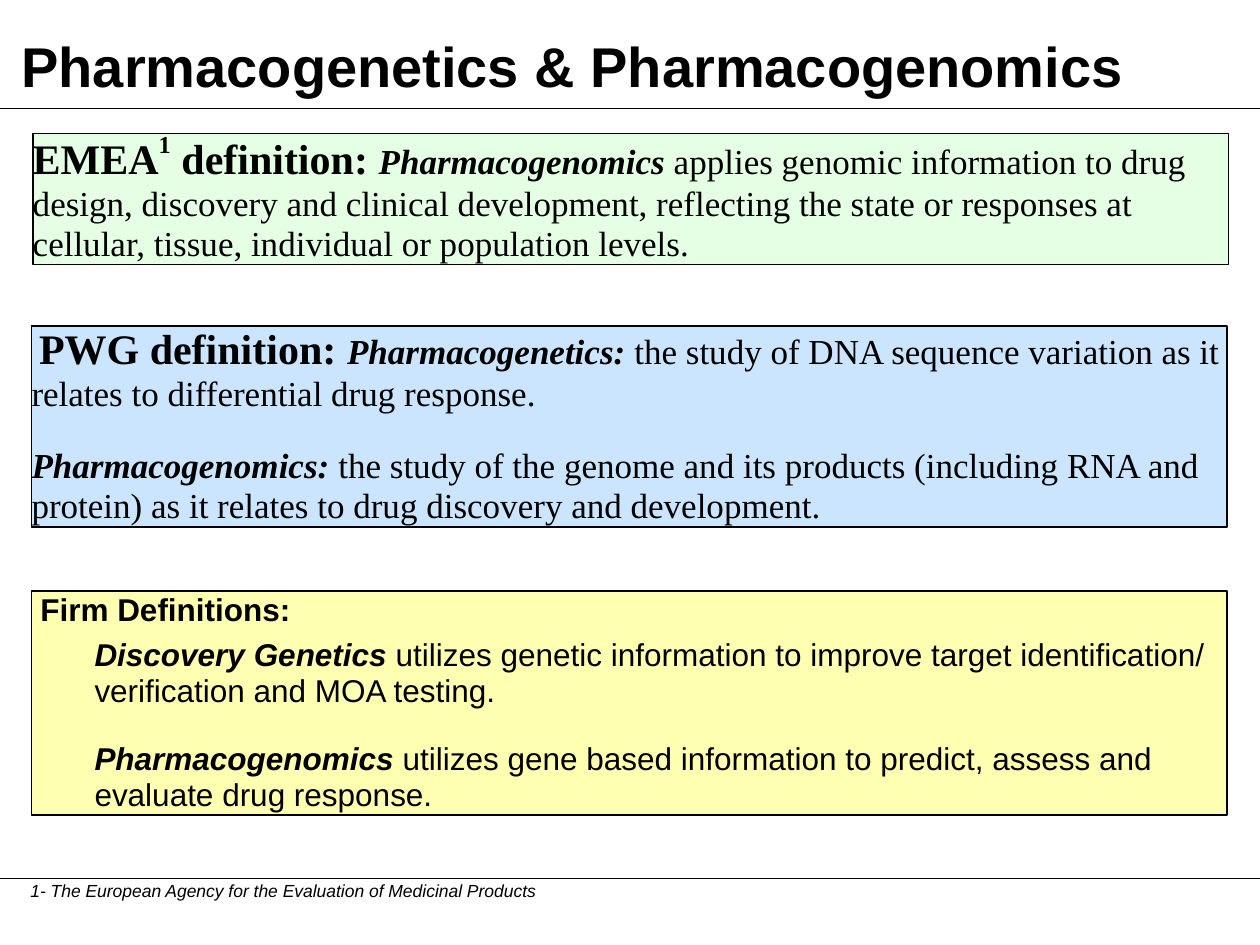
import pptx
import pptx.util
import pptx.dml.color
import pptx.enum.shapes
import pptx.enum.text
import pptx.oxml.ns
from lxml import etree

Inches = pptx.util.Inches
Pt = pptx.util.Pt
ALIGN = pptx.enum.text.PP_ALIGN
ANCHOR = pptx.enum.text.MSO_ANCHOR
FIT = pptx.enum.text.MSO_AUTO_SIZE
qn = pptx.oxml.ns.qn

COLORS = {"ink": "000000", "green": "CCFFCC", "blue": "99CCFF", "yellow": "FFFF66"}
SERIF, SANS = "Times New Roman", "Arial"

# Text formats
TITLE = {"name": SANS, "size": Pt(32), "bold": True}
NOTE = {"name": SANS, "size": Pt(10), "italic": True}
SERIF_HEAD = {"name": SERIF, "size": Pt(24), "bold": True}
SERIF_TERM = {"name": SERIF, "size": Pt(20), "bold": True, "italic": True}
SERIF_BODY = {"name": SERIF, "size": Pt(20)}
SANS_HEAD = {"name": SANS, "size": Pt(18), "bold": True}
SANS_TERM = {"name": SANS, "size": Pt(18), "bold": True, "italic": True}
SANS_BODY = {"name": SANS, "size": Pt(18)}


def color(name):
    return pptx.dml.color.RGBColor.from_string(COLORS[name])


def set_attributes(target, values):
    for name, value in values.items():
        setattr(target, name, value)


def add_span(para, text, style, raised=False):
    span = para.add_run()
    span.text = text
    set_attributes(span.font, style)
    span.font.color.rgb = color("ink")
    if raised:
        span.font._element.set("baseline", "50000")


def fill_text(box, paragraphs, frame_format, bottom=0):
    """Each paragraph is (spans, paragraph format, left margin, first-line indent)."""
    frame = box.text_frame
    set_attributes(frame, {"margin_left": 0, "margin_right": 0, "margin_top": 0,
                           "margin_bottom": Inches(bottom), **frame_format})
    for index, (spans, para_format, margin, indent) in enumerate(paragraphs):
        para = frame.add_paragraph() if index else frame.paragraphs[0]
        properties = para._p.get_or_add_pPr()
        properties.set("marL", str(Inches(margin)))
        properties.set("indent", str(Inches(indent)))
        set_attributes(para, para_format)
        for span in spans:
            add_span(para, *span)


def add_rule(page, left, right, top):
    rule = page.shapes.add_connector(pptx.enum.shapes.MSO_CONNECTOR.STRAIGHT,
                                     Inches(left), Inches(top), Inches(right), Inches(top))
    rule.line.color.rgb = color("ink")
    rule.line.width = Pt(0.75)
    etree.SubElement(rule._element.spPr, qn("a:effectLst"))


def add_title(page, left, top, width, height):
    box = page.shapes.add_textbox(Inches(left), Inches(top), Inches(width), Inches(height))
    spans = [("Pharmacogenetics & Pharmacogenomics", TITLE)]
    fill_text(box, [(spans, {}, 0, 0)],
              {"word_wrap": True, "vertical_anchor": ANCHOR.BOTTOM}, bottom=0.06)


def add_footnote(page, left, top, width, height):
    box = page.shapes.add_textbox(Inches(left), Inches(top), Inches(width), Inches(height))
    spans = [("1- The European Agency for the Evaluation of Medicinal Products", NOTE)]
    fill_text(box, [(spans, {"alignment": ALIGN.CENTER, "line_spacing": 0.95}, 0, 0)],
              {"word_wrap": False, "auto_size": FIT.SHAPE_TO_FIT_TEXT})


def add_definition(page, left, top, width, height, fill, paragraphs):
    """Paragraphs are (spans, space before, left margin, first-line indent)."""
    panel = page.shapes.add_shape(pptx.enum.shapes.MSO_SHAPE.RECTANGLE, Inches(left),
                                  Inches(top), Inches(width), Inches(height))
    panel.shadow.inherit = False
    panel.fill.solid()
    panel.fill.fore_color.rgb = color(fill)
    # Half-transparent fill
    shade = panel._element.spPr.find(qn("a:solidFill")).find(qn("a:srgbClr"))
    etree.SubElement(shade, qn("a:alpha")).set("val", "50000")
    panel.line.color.rgb = color("ink")
    panel.line.width = Pt(1)
    rows = [(spans, {"alignment": ALIGN.LEFT, "line_spacing": 0.95, "space_before": Pt(gap)},
             margin, indent) for spans, gap, margin, indent in paragraphs]
    fill_text(panel, rows, {"word_wrap": True, "vertical_anchor": ANCHOR.MIDDLE,
                            "auto_size": FIT.SHAPE_TO_FIT_TEXT})


EMEA = [
    ([("EMEA", SERIF_HEAD), ("1", SERIF_HEAD, True), (" definition: ", SERIF_HEAD),
      ("Pharmacogenomics", SERIF_TERM),
      (" applies genomic information to drug design, discovery and clinical development, "
       "reflecting the state or responses at cellular, tissue, individual or population "
       "levels.", SERIF_BODY)], 0, 0, 0),
]
PWG = [
    ([("PWG definition: ", SERIF_HEAD), ("Pharmacogenetics: ", SERIF_TERM),
      ("the study of DNA sequence variation as it relates to differential drug response.",
       SERIF_BODY)], 0, 0, 0.06),
    ([("Pharmacogenomics: ", SERIF_TERM),
      ("the study of the genome and its products (including RNA and protein) as it relates "
       "to drug discovery and development.", SERIF_BODY)], 18.7, 0, 0),
]
COMPANY = [
    ([("Firm Definitions:", SANS_HEAD)], 0, 0, 0.07),
    ([("Discovery Genetics", SANS_TERM),
      (" utilizes genetic information to improve target identification/ verification and "
       "MOA testing.", SANS_BODY)], 5.6, 0.5, 0),
    ([("Pharmacogenomics", SANS_TERM),
      (" utilizes gene based information to predict, assess and evaluate drug response.",
       SANS_BODY)], 18.2, 0.5, 0),
]


def main():
    deck = pptx.Presentation()
    deck.slide_width, deck.slide_height = Inches(10), Inches(7.5)
    page = deck.slides.add_slide(deck.slide_layouts[6])

    # Header and footer rules, and the small corner mark
    for left, right, top in ((0, 10, 0.86), (0, 10, 6.97), (9, 9, 7.22)):
        add_rule(page, left, right, top)

    add_title(page, 0.17, 0.17, 9.5, 0.67)

    # Definition panels
    add_definition(page, 0.26, 1.06, 9.49, 1.04, "green", EMEA)
    add_definition(page, 0.25, 2.59, 9.49, 1.59, "blue", PWG)
    add_definition(page, 0.25, 4.69, 9.49, 1.78, "yellow", COMPANY)

    add_footnote(page, 0.24, 7, 4.01, 0.16)
    deck.save("out.pptx")


if __name__ == "__main__":
    main()
